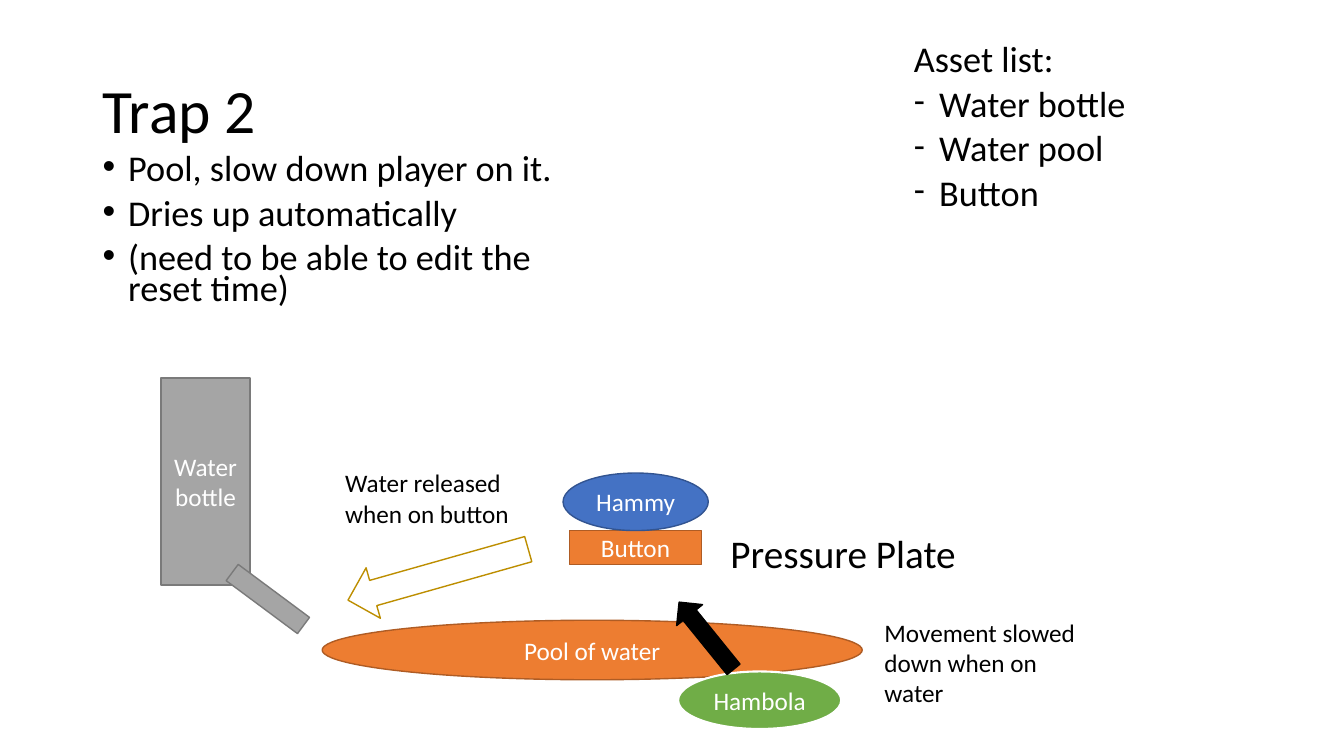
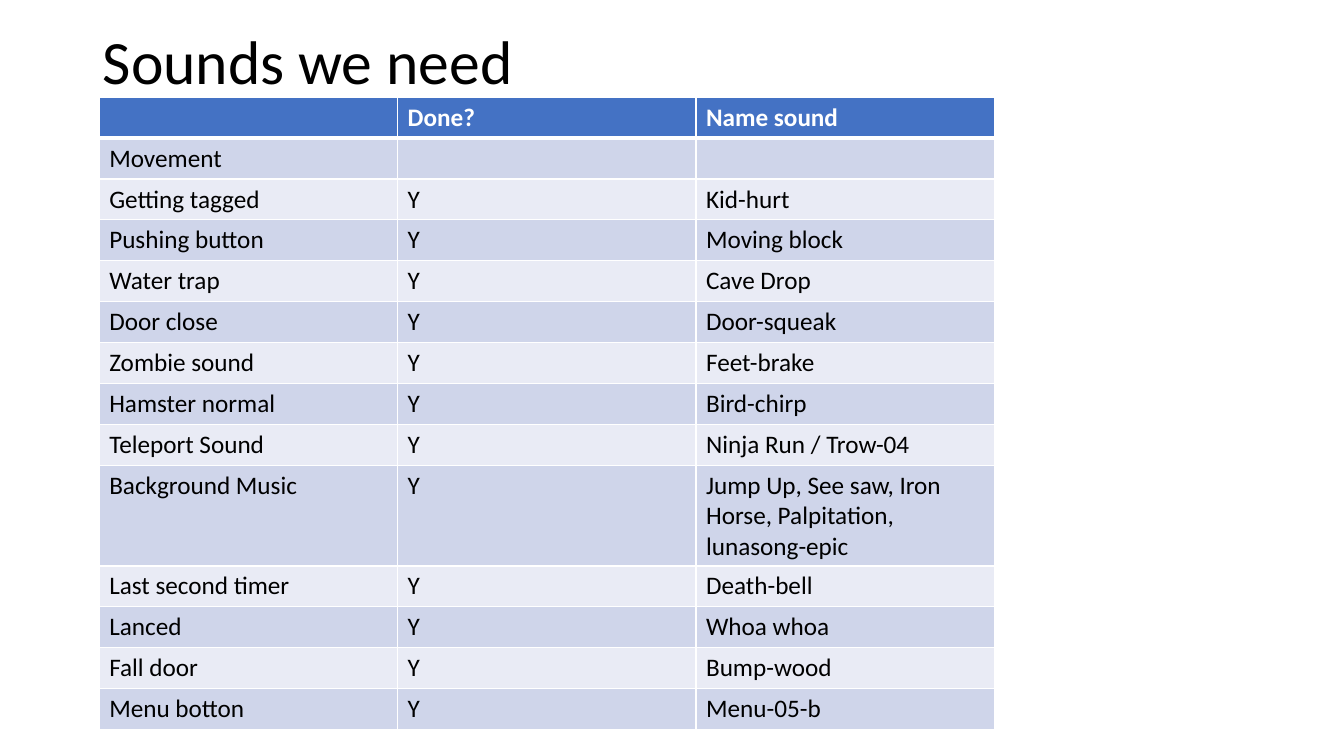
from dataclasses import dataclass

from lxml.etree import SubElement
from pptx import Presentation
from pptx.dml.color import RGBColor
from pptx.enum.shapes import MSO_SHAPE
from pptx.enum.text import MSO_ANCHOR, PP_ALIGN
from pptx.oxml.ns import qn
from pptx.util import Cm, Pt


@dataclass(frozen=True)
class Theme:
    font: str = "Calibri"
    black: str = "000000"
    white: str = "FFFFFF"
    blue: str = "4472C4"
    navy: str = "325491"
    orange: str = "ED7D31"
    rust: str = "AF5C24"
    grey: str = "A5A5A5"
    slate: str = "7A7A7A"
    green: str = "70AD47"
    gold: str = "BD8E00"
    bands: tuple = ("CFD5EA", "E9EBF5")
    title: float = 44
    label: float = 28
    list: float = 25.9
    body: float = 18


THEME = Theme()
LEFT = 2.34  # shared left edge of titles and lists, in cm

SOUNDS = [
    ("", "Done?", "Name sound"),
    ("Movement", "", ""),
    ("Getting tagged", "Y", "Kid-hurt"),
    ("Pushing button", "Y", "Moving block"),
    ("Water trap", "Y", "Cave Drop"),
    ("Door close", "Y", "Door-squeak"),
    ("Zombie sound", "Y", "Feet-brake"),
    ("Hamster normal", "Y", "Bird-chirp"),
    ("Teleport Sound", "Y", "Ninja Run / Trow-04"),
    ("Background Music", "Y",
     "Jump Up, See saw, Iron Horse, Palpitation, lunasong-epic"),
    ("Last second timer", "Y", "Death-bell"),
    ("Lanced", "Y", "Whoa whoa"),
    ("Fall door", "Y", "Bump-wood"),
    ("Menu botton", "Y", "Menu-05-b"),
]


def color(code):
    return RGBColor.from_string(code)


def paint(fill, code):
    fill.solid()
    fill.fore_color.rgb = color(code)


def write(para, text, size, code=THEME.black, bold=False):
    run = para.add_run()
    run.text = text
    font = run.font
    font.name, font.size, font.bold = THEME.font, Pt(size), bold
    font.color.rgb = color(code)


def space(para, lines, before=0):
    para.line_spacing = lines
    para.space_before = Pt(before)


def bullet(para, char, face):
    props = para._p.get_or_add_pPr()
    indent = Cm(0.64)
    props.set("marL", str(indent))
    props.set("indent", str(-indent))
    SubElement(props, qn("a:buFont"), typeface=face)
    SubElement(props, qn("a:buChar"), char=char)


def frame(slide, box):
    """Add a wrapping text box and return its text frame."""
    text = slide.shapes.add_textbox(*map(Cm, box)).text_frame
    text.word_wrap = True
    return text


def add_title(slide, text, box):
    area = frame(slide, box)
    area.vertical_anchor = MSO_ANCHOR.MIDDLE
    para = area.paragraphs[0]
    space(para, 0.9)
    write(para, text, THEME.title)


def add_list(slide, box, items, char, face, head=None):
    area = frame(slide, box)
    lines = ([head] if head else []) + items
    for i, line in enumerate(lines):
        para = area.add_paragraph() if i else area.paragraphs[0]
        space(para, 0.7, 10)
        if line != head:
            bullet(para, char, face)
        write(para, line, THEME.list)


def add_part(slide, kind, box, fill, line, text="", turn=0, width=1):
    part = slide.shapes.add_shape(kind, *map(Cm, box))
    part.shadow.inherit = False
    part.rotation = turn
    if fill:
        paint(part.fill, fill)
    else:
        part.fill.background()
    part.line.color.rgb = color(line)
    part.line.width = Pt(width)
    if text:
        area = part.text_frame
        area.word_wrap = True
        area.vertical_anchor = MSO_ANCHOR.MIDDLE
        para = area.paragraphs[0]
        para.alignment = PP_ALIGN.CENTER
        write(para, text, THEME.body, THEME.white)


def draw_trap(slide, left, top):
    """Draw the water trap with its top left corner at the given point."""
    def at(x, y, wide, high):
        return left + x, top + y, wide, high

    t = THEME
    rect, oval, arrow = MSO_SHAPE.RECTANGLE, MSO_SHAPE.OVAL, MSO_SHAPE.RIGHT_ARROW
    parts = [
        (rect, at(0, 0, 2.24, 5.21), t.grey, t.slate, "Water bottle"),
        (rect, at(1.57, 5.31, 2.24, 0.51), t.grey, t.slate, "", 36.6),
        (rect, at(10.29, 3.84, 3.33, 0.86), t.orange, t.rust, "Button"),
        (oval, at(10.13, 2.39, 3.66, 1.45), t.blue, t.navy, "Hammy"),
        (oval, at(4.06, 6.1, 13.61, 1.5), t.orange, t.rust, "Pool of water"),
        (oval, at(13.03, 7.39, 4.11, 1.45), t.green, t.white, "Hambola", 0, 1.5),
        (arrow, at(12.65, 6.07, 2.18, 0.84), t.black, t.black, "", 231),
        (arrow, at(4.62, 4.29, 4.72, 1.32), None, t.gold, "", 164.2),
    ]
    for part in parts:
        add_part(slide, *part)

    notes = [
        (at(17.98, 5.89, 5.64, 2.57), "Movement slowed down when on water"),
        (at(4.39, 2.13, 5.64, 1.8), "Water released when on button"),
    ]
    for box, text in notes:
        write(frame(slide, box).paragraphs[0], text, t.body)
    para = frame(slide, at(14.1, 3.81, 8.56, 4.78)).paragraphs[0]
    space(para, 0.9, 10)
    write(para, "Pressure Plate", t.label)


def edge(cell, side, width):
    line = SubElement(cell._tc.get_or_add_tcPr(), qn(f"a:ln{side}"), w=str(Pt(width)))
    fill = SubElement(line, qn("a:solidFill"))
    SubElement(fill, qn("a:srgbClr"), val=THEME.white)


def add_grid(slide, rows, left, top, wide, high):
    """Add a banded table; high is the height of one row."""
    count = len(rows[0])
    grid = slide.shapes.add_table(
        len(rows), count, Cm(left), Cm(top), Cm(wide), Cm(high * len(rows))).table
    grid.horz_banding = False
    for col in grid.columns:
        col.width = Cm(wide / count)
    for r, row in enumerate(rows):
        grid.rows[r].height = Cm(high)
        head = r == 0
        for c, text in enumerate(row):
            cell = grid.cell(r, c)
            for side in "LRTB":
                thick = (r, side) in ((0, "B"), (1, "T"))
                edge(cell, side, 3 if thick else 1)
            paint(cell.fill, THEME.blue if head else THEME.bands[(r - 1) % 2])
            if text:
                code = THEME.white if head else THEME.black
                write(cell.text_frame.paragraphs[0], text, THEME.body, code, head)


def trap_slide(slide):
    add_title(slide, "Trap 2", (LEFT, 1.02, 29.21, 3.68))
    add_list(slide, (LEFT, 3.84, 12.17, 4.45), [
        "Pool, slow down player on it.",
        "Dries up automatically",
        "(need to be able to edit the reset time)",
    ], "•", "Arial")
    add_list(slide, (22.78, 1.09, 8.56, 4.78),
             ["Water bottle", "Water pool", "Button"],
             "-", THEME.font, "Asset list:")
    draw_trap(slide, 4.06, 9.53)


def sound_slide(slide):
    add_title(slide, "Sounds we need", (LEFT, 0.56, 29.21, 2.11))
    add_grid(slide, SOUNDS, 2.5, 2.45, 22.56, 1.03)


def main():
    deck = Presentation()
    deck.slide_width, deck.slide_height = Cm(33.87), Cm(19.05)
    for build in (trap_slide, sound_slide):
        build(deck.slides.add_slide(deck.slide_layouts[6]))
    deck.save("out.pptx")


if __name__ == "__main__":
    main()
